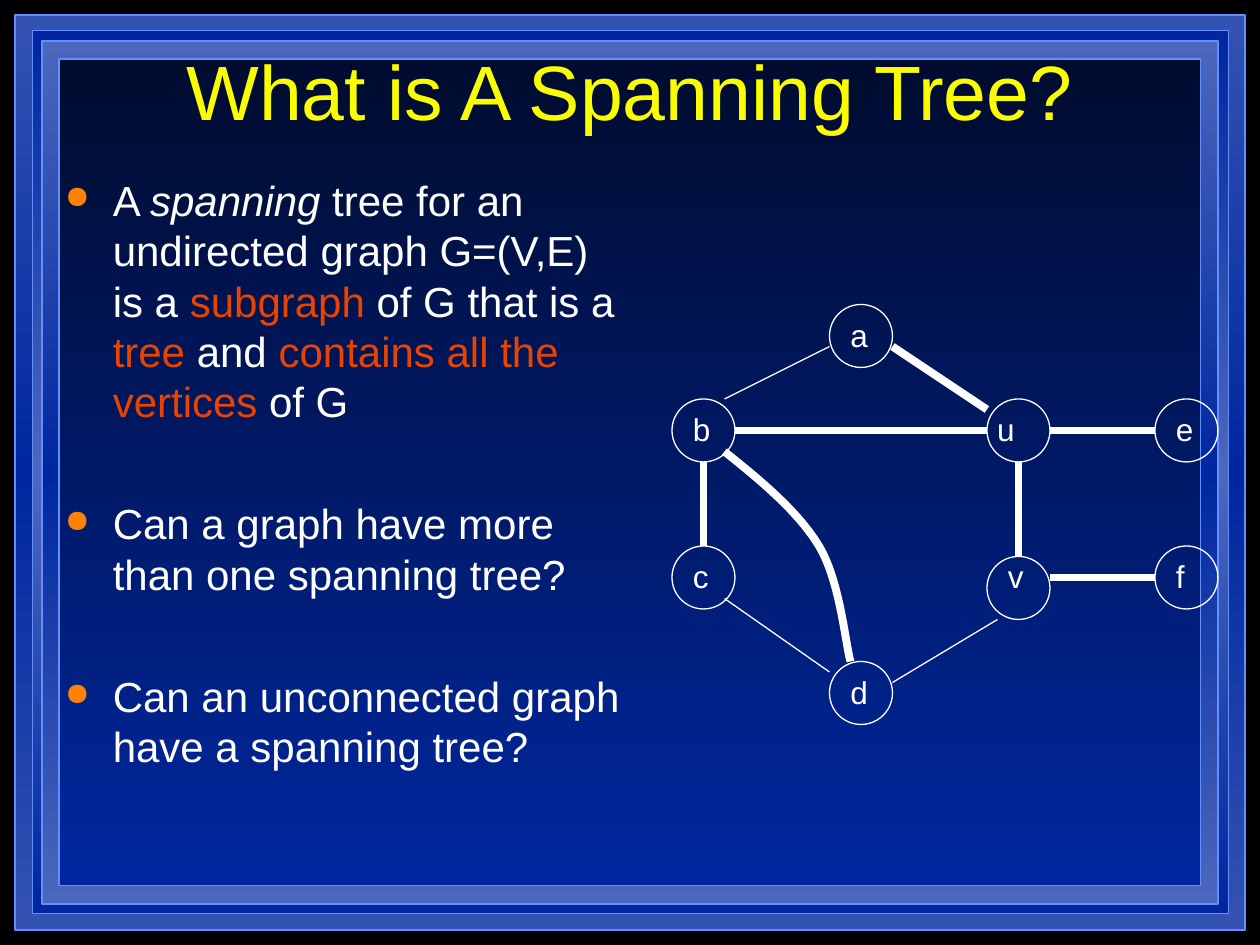
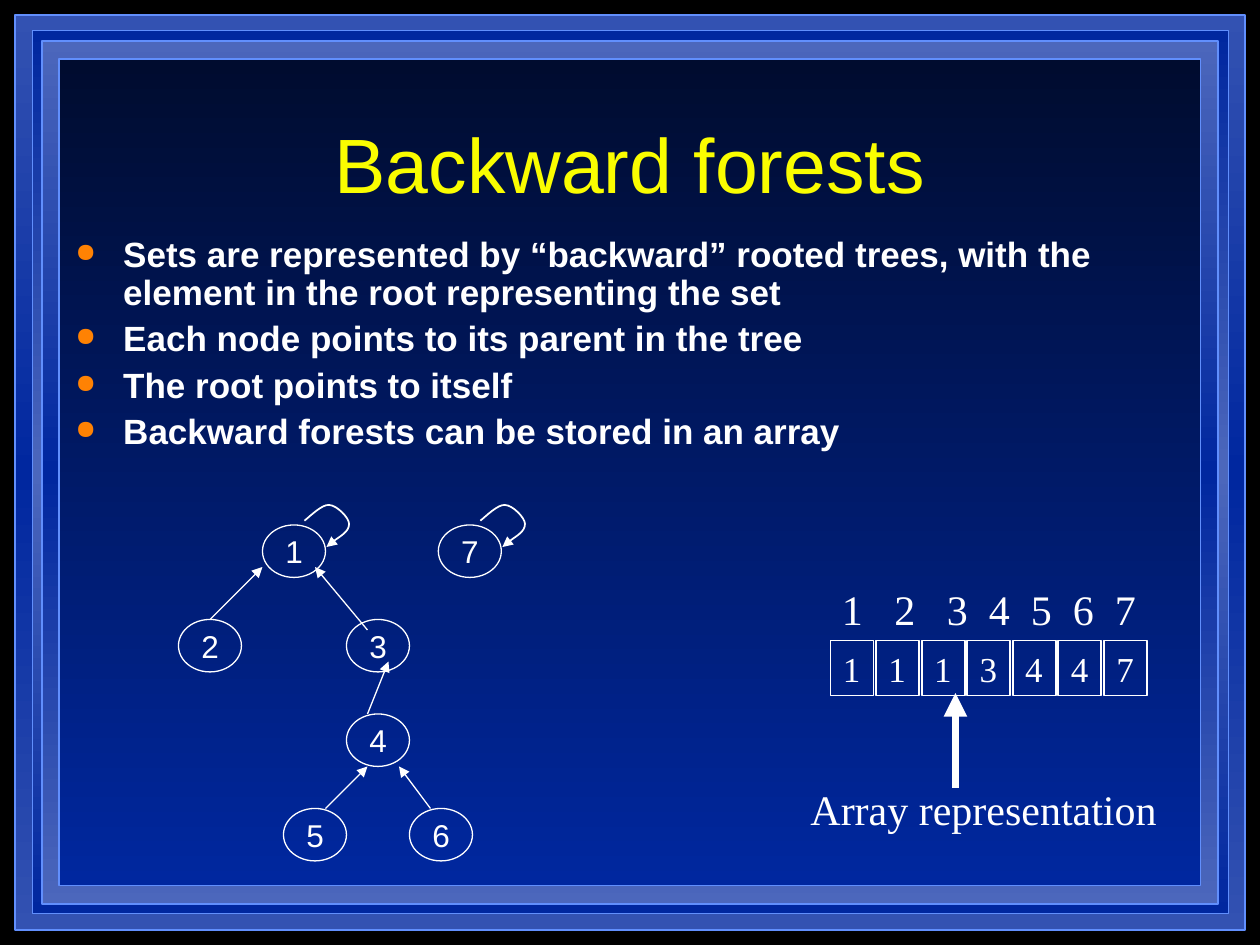
from dataclasses import dataclass
from typing import Sequence

from pptx import Presentation, util as u
from pptx.dml.color import RGBColor
from pptx.enum import shapes, text
from pptx.oxml import parse_xml
from pptx.oxml.ns import nsdecls, qn
from lxml import etree

COLUMNS, ROWS = 120, 90
WIDTH, HEIGHT = u.Inches(10), u.Inches(7.5)
CELL = WIDTH // COLUMNS

BLACK = RGBColor(0x00, 0x00, 0x00)
WHITE = RGBColor(0xFF, 0xFF, 0xFF)
YELLOW = RGBColor(0xFA, 0xFD, 0x00)
ORANGE = RGBColor(0xFF, 0x82, 0x03)
RED = RGBColor(0xE8, 0x44, 0x00)
EDGE = RGBColor(0x61, 0x8F, 0xFD)
NAVY = RGBColor(0x00, 0x0C, 0x2F)
BLUE = RGBColor(0x00, 0x27, 0x9F)
MID_BLUE = RGBColor(0x33, 0x52, 0xB2)
PALE_BLUE = RGBColor(0x4C, 0x67, 0xBC)
SANS, SERIF = "Arial", "Times New Roman"
THIN, MEDIUM, THICK = 0.75, 1, 4.5

Point = tuple[float, float]


@dataclass(frozen=True)
class Box:
    """A rectangle in grid columns and rows."""
    x: float
    y: float
    w: float
    h: float

    def emu(self) -> tuple[int, ...]:
        return tuple(round(v * CELL) for v in (self.x, self.y, self.w, self.h))


@dataclass(frozen=True)
class Band:
    box: Box
    colors: Sequence[RGBColor]


@dataclass(frozen=True)
class Node:
    name: str
    x: float
    y: float
    dx: float = 0.8
    dy: float = 0.5
    label_w: float = 4.1


@dataclass(frozen=True)
class Edge:
    start: Point
    end: Point
    width: float = THIN


@dataclass(frozen=True)
class Span:
    text: str
    color: RGBColor = WHITE
    italic: bool = False


BANDS = [
    Band(Box(1.4, 1.4, 117.2, 87.2), (MID_BLUE, BLUE, MID_BLUE)),
    Band(Box(3.1, 2.9, 113.9, 84.1), (BLUE, PALE_BLUE, BLUE)),
    Band(Box(4, 3.9, 112, 82.2), (PALE_BLUE, BLUE, PALE_BLUE)),
    Band(Box(5.65, 5.65, 108.7, 78.7), (NAVY, BLUE)),
]

GRAPH_NODES = [
    Node("b", 64, 38), Node("c", 64, 52, label_w=3.8), Node("a", 79, 29),
    Node("u", 94, 38, dx=-0.2), Node("d", 79, 63),
    Node("v", 94, 53, dy=-0.55, label_w=3.8),
    Node("e", 110, 38), Node("f", 110, 52, label_w=3.2),
]
GRAPH_EDGES = [
    Edge((67, 44), (67, 52), THICK), Edge((69, 38), (79, 33)),
    Edge((69, 57), (79, 64)), Edge((85, 65), (95, 59)),
    Edge((85, 33), (94, 39), THICK), Edge((97, 44), (97, 53), THICK),
    Edge((70, 41), (94, 41), THICK), Edge((100, 41), (110, 41), THICK),
    Edge((100, 55), (110, 55), THICK),
]
CURVE_B_TO_D = [(69, 43), (72.5, 45.8), (76, 48.7), (78, 52),
                (80, 55.3), (80.5, 61.2), (81, 63)]
SPANNING_TEXT = [
    [Span("A "), Span("spanning", italic=True),
     Span(" tree for an undirected graph G=(V,E) is a "), Span("subgraph", RED),
     Span(" of G that is a "), Span("tree", RED), Span(" and "),
     Span("contains all the vertices", RED), Span(" of G")],
    [Span("Can a graph have more than one spanning tree?")],
    [Span("Can an unconnected graph have a spanning tree?")],
]

FOREST_NODES = [
    Node(name, x, y, dx=1, dy=0.1) for name, x, y in [
        ("1", 25, 50), ("4", 33, 68), ("5", 27, 77), ("6", 39, 77),
        ("2", 17, 59), ("3", 33, 59), ("7", 41.75, 50)]
]
PARENT_ARROWS = [
    Edge((31, 77), (35, 73)), Edge((41, 77), (38, 73)), Edge((35, 68), (37, 63)),
    Edge((35, 60), (30, 54)), Edge((20, 59), (25, 54)),
]
ROOTS = ("1", "7")
SELF_LOOP = [(6.1, 2.1), (6.45, 1.7), (8.25, 0.65), (8.25, -0.1),
             (8.25, -0.7), (7.05, -1.9), (6.35, -1.9),
             (5.7, -2), (4.5, -0.8), (4, -0.4)]
PARENTS = "1113447"
INDEX_TABS = (5, 10, 14, 18, 22, 26)
FOREST_TEXT = [[Span(line)] for line in (
    "Sets are represented by “backward” rooted trees, with the element in the "
    "root representing the set",
    "Each node points to its parent in the tree",
    "The root points to itself",
    "Backward forests can be stored in an array",
)]


def style_font(font, size: float, name: str, color: RGBColor = WHITE) -> None:
    font.size, font.name = u.Pt(size), name
    font.color.rgb = color


def style_line(s, width: float, color: RGBColor = WHITE) -> None:
    s.line.color.rgb = color
    s.line.width = u.Pt(width)


def add_arrowhead(s, end: str) -> None:
    """Put a triangle at the "headEnd" or "tailEnd" of an outline."""
    etree.SubElement(s.element.spPr.find(qn("a:ln")), qn(f"a:{end}"), type="triangle")


def add_outline(slide, kind, box: Box, width: float):
    s = slide.shapes.add_shape(kind, *box.emu())
    s.shadow.inherit = False
    s.fill.background()
    style_line(s, width)
    return s


def add_label(slide, words: str, box: Box, size: float = 18, name: str = SANS):
    tf = slide.shapes.add_textbox(*box.emu()).text_frame
    tf.word_wrap = False
    tf.text = words
    style_font(tf.paragraphs[0].runs[0].font, size, name)
    return tf


def add_nodes(slide, nodes: Sequence[Node], w: float, h: float) -> None:
    for node in nodes:
        add_outline(slide, shapes.MSO_SHAPE.OVAL, Box(node.x, node.y, w, h), THIN)
        add_label(slide, node.name,
                  Box(node.x + node.dx, node.y + node.dy, node.label_w, 4.8))


def add_edge(slide, edge: Edge, arrow: bool = False) -> None:
    ends = (round(v * CELL) for v in edge.start + edge.end)
    s = slide.shapes.add_connector(shapes.MSO_CONNECTOR.STRAIGHT, *ends)
    style_line(s, edge.width)
    if arrow:
        add_arrowhead(s, "tailEnd")
    etree.SubElement(s.element.spPr, qn("a:effectLst"))


def add_curve(slide, points: Sequence[Point], width: float):
    """Draw cubic curves: a start point, then three control points for each."""
    start, *rest = [(round(x * CELL), round(y * CELL)) for x, y in points]
    builder = slide.shapes.build_freeform(*start)
    builder.add_line_segments(rest, close=False)
    s = builder.convert_to_shape()
    outline = next(s.element.iter(qn("a:path")))
    steps = outline.findall(qn("a:lnTo"))
    for i in range(0, len(steps), 3):
        cubic = etree.SubElement(outline, qn("a:cubicBezTo"))
        for step in steps[i:i + 3]:
            cubic.append(step[0])
            outline.remove(step)
    s.shadow.inherit = False
    s.fill.background()
    style_line(s, width)
    return s


def add_bullets(slide, box: Box, items: Sequence[Sequence[Span]], size: float,
                gap: float, bold: bool = False, spacing: float = 1) -> None:
    tf = slide.shapes.add_textbox(*box.emu()).text_frame
    tf.word_wrap = True
    for i, spans in enumerate(items):
        p = tf.add_paragraph() if i else tf.paragraphs[0]
        pPr = p._p.get_or_add_pPr()
        pPr.set("marL", str(u.Inches(0.38)))
        pPr.set("indent", str(-u.Inches(0.38)))
        color = etree.SubElement(pPr, qn("a:buClr"))
        etree.SubElement(color, qn("a:srgbClr"), val=str(ORANGE))
        etree.SubElement(pPr, qn("a:buSzPct"), val="75000")
        etree.SubElement(pPr, qn("a:buChar"), char="●")
        p.line_spacing = spacing
        if i:
            p.space_before = u.Pt(gap)
        for span in spans:
            r = p.add_run()
            r.text = span.text
            style_font(r.font, size, SANS, span.color)
            r.font.bold, r.font.italic = bold, span.italic


def add_title_slide(prs, title: str, box: Box):
    slide = prs.slides.add_slide(prs.slide_layouts.get_by_name("Title Only"))
    s = slide.shapes.title
    s.left, s.top, s.width, s.height = box.emu()
    tf = s.text_frame
    tf.text = title
    tf.auto_size = text.MSO_AUTO_SIZE.NONE
    tf.vertical_anchor = text.MSO_ANCHOR.MIDDLE
    p = tf.paragraphs[0]
    p.alignment = text.PP_ALIGN.CENTER
    style_font(p.runs[0].font, 44, SANS, YELLOW)
    return slide


def frame_master(prs, slide) -> None:
    """Draw the nested bands on a slide, then move them behind its master."""
    master = prs.slide_master
    master.background.fill.solid()
    master.background.fill.fore_color.rgb = BLACK
    for i, band in enumerate(BANDS):
        s = add_outline(slide, shapes.MSO_SHAPE.RECTANGLE, band.box, MEDIUM)
        style_line(s, MEDIUM, EDGE)
        last = len(band.colors) - 1
        stops = "".join(
            f'<a:gs pos="{100000 * n // last}"><a:srgbClr val="{color}"/></a:gs>'
            for n, color in enumerate(band.colors))
        gradient = parse_xml(f'<a:gradFill {nsdecls("a")}><a:gsLst>{stops}</a:gsLst>'
                             '<a:lin ang="5400000" scaled="0"/></a:gradFill>')
        spPr = s.element.spPr
        spPr.replace(spPr.find(qn("a:noFill")), gradient)
        master.shapes.element.insert(2 + i, s.element)


def build_spanning_tree(prs):
    slide = add_title_slide(prs, "What is A Spanning Tree?", Box(9, 3, 102, 11))
    add_nodes(slide, GRAPH_NODES, 6, 6)
    for edge in GRAPH_EDGES:
        add_edge(slide, edge)
    add_curve(slide, CURVE_B_TO_D, THICK)
    add_bullets(slide, Box(5, 16, 56, 64), SPANNING_TEXT, size=24, gap=41)
    return slide


def add_parent_array(slide) -> None:
    for i, parent in enumerate(PARENTS):
        s = add_outline(slide, shapes.MSO_SHAPE.RECTANGLE,
                        Box(79.1 + 4.34 * i, 61, 4.1, 5.25), MEDIUM)
        tf = s.text_frame
        tf.word_wrap = False
        tf.text = parent
        style_font(tf.paragraphs[0].runs[0].font, 20, SERIF)
    indexes = "\t".join(str(i + 1) for i in range(len(PARENTS)))
    tf = add_label(slide, indexes, Box(79, 55, 31, 6), 24, SERIF)
    tf.word_wrap = True
    tabs = etree.SubElement(tf.paragraphs[0]._p.get_or_add_pPr(), qn("a:tabLst"))
    for tab in INDEX_TABS:
        etree.SubElement(tabs, qn("a:tab"), pos=str(tab * CELL), algn="l")
    add_edge(slide, Edge((91, 75), (91, 66), THICK), arrow=True)
    add_label(slide, "Array representation", Box(76, 74, 35.4, 6), 24, SERIF)


def build_backward_forests(prs) -> None:
    slide = add_title_slide(prs, "Backward forests", Box(9, 8, 102, 15))
    add_bullets(slide, Box(6, 22, 102, 26), FOREST_TEXT, size=20, gap=5,
                bold=True, spacing=0.9)
    add_nodes(slide, FOREST_NODES, 6, 5)
    for arrow in PARENT_ARROWS:
        add_edge(slide, arrow, arrow=True)
    for root in (node for node in FOREST_NODES if node.name in ROOTS):
        loop = [(root.x + x, root.y + y) for x, y in SELF_LOOP]
        add_arrowhead(add_curve(slide, loop, MEDIUM), "headEnd")
    add_parent_array(slide)


def main() -> None:
    prs = Presentation()
    prs.slide_width, prs.slide_height = WIDTH, HEIGHT
    frame_master(prs, build_spanning_tree(prs))
    build_backward_forests(prs)
    prs.save("out.pptx")


if __name__ == "__main__":
    main()
